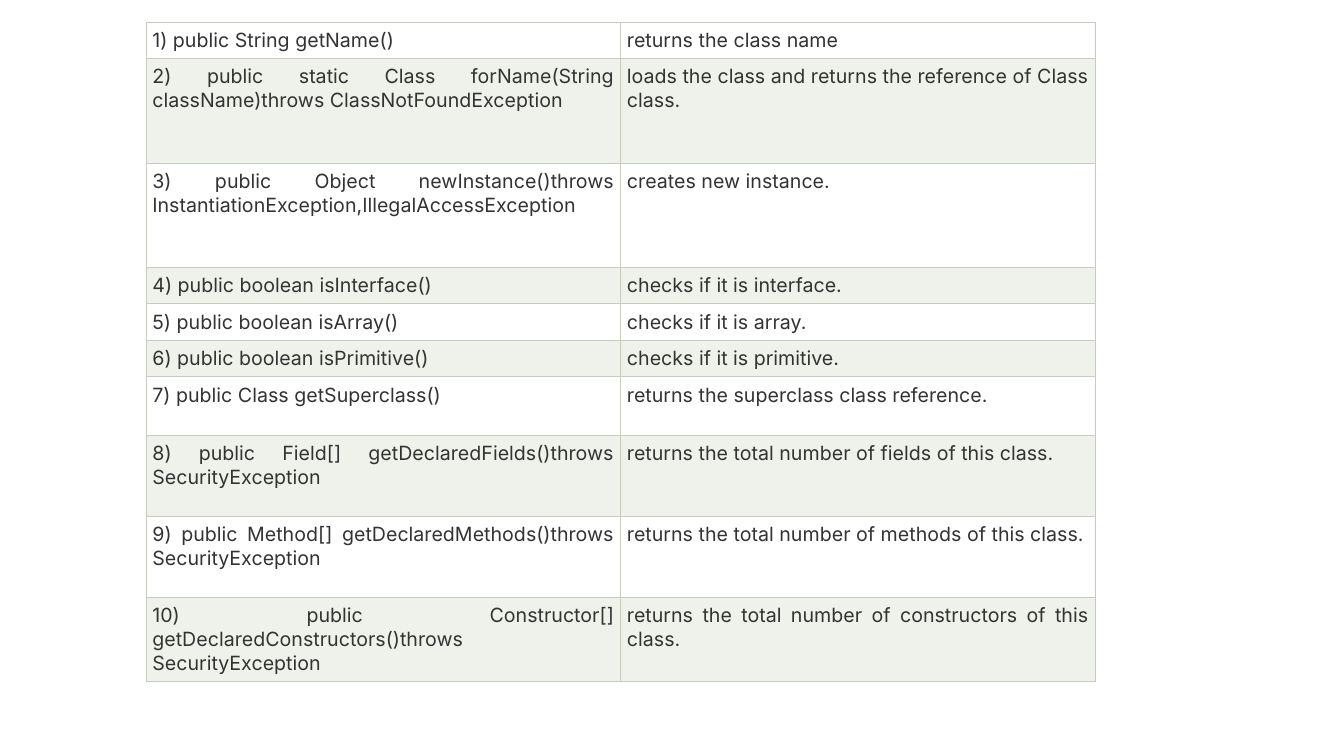
from dataclasses import dataclass

from lxml.etree import SubElement
from pptx import Presentation
from pptx.dml.color import RGBColor
from pptx.enum.text import PP_ALIGN
from pptx.oxml.ns import qn
from pptx.slide import Slide
from pptx.table import _Cell
from pptx.util import Cm, Pt


@dataclass(frozen=True)
class Theme:
    font: str = "Inter"
    text_size: int = 14
    text: str = "333333"
    border: str = "C7CCBE"
    border_width: float = 0.75
    row_fills: tuple[str, str] = ("FFFFFF", "EFF1EB")


@dataclass(frozen=True)
class Method:
    signature: str
    description: str
    height: float  # centimetres


THEME = Theme()
LEFT, TOP, COLUMN_WIDTH = 3.68, 0.56, 11.96
CELL_MARGIN = 0.16
SINGLE, SPACED, DOUBLE, TALL = 0.9, 1.47, 2.05, 2.63

METHODS = [
    Method("1) public String getName()", "returns the class name", SINGLE),
    Method("2) public static Class forName(String className)throws ClassNotFoundException",
           "loads the class and returns the reference of Class class.", TALL),
    Method("3) public Object newInstance()throws InstantiationException,IllegalAccessException",
           "creates new instance.", TALL),
    Method("4) public boolean isInterface()", "checks if it is interface.", SINGLE),
    Method("5) public boolean isArray()", "checks if it is array.", SINGLE),
    Method("6) public boolean isPrimitive()", "checks if it is primitive.", SINGLE),
    Method("7) public Class getSuperclass()", "returns the superclass class reference.", SPACED),
    Method("8) public Field[] getDeclaredFields()throws SecurityException",
           "returns the total number of fields of this class.", DOUBLE),
    Method("9) public Method[] getDeclaredMethods()throws SecurityException",
           "returns the total number of methods of this class.", DOUBLE),
    Method("10) public Constructor[] getDeclaredConstructors()throws SecurityException",
           "returns the total number of constructors of this class.", DOUBLE),
]


def add_borders(cell: _Cell) -> None:
    """Add all four borders; call before filling, as the schema puts lines first."""
    properties = cell._tc.get_or_add_tcPr()
    for side in ("a:lnL", "a:lnR", "a:lnT", "a:lnB"):
        line = SubElement(properties, qn(side), w=str(Pt(THEME.border_width)))
        fill = SubElement(line, qn("a:solidFill"))
        SubElement(fill, qn("a:srgbClr"), val=THEME.border)


def write_cell(cell: _Cell, text: str, fill: str) -> None:
    add_borders(cell)
    cell.fill.solid()
    cell.fill.fore_color.rgb = RGBColor.from_string(fill)
    cell.margin_left = cell.margin_right = Cm(CELL_MARGIN)
    cell.margin_top = cell.margin_bottom = Cm(CELL_MARGIN)
    cell.text_frame.text = text
    paragraph = cell.text_frame.paragraphs[0]
    paragraph.alignment = PP_ALIGN.JUSTIFY
    font = paragraph.runs[0].font
    font.name = THEME.font
    font.size = Pt(THEME.text_size)
    font.color.rgb = RGBColor.from_string(THEME.text)


def add_method_table(slide: Slide, methods: list[Method]) -> None:
    height = sum(method.height for method in methods)
    table = slide.shapes.add_table(len(methods), 2, Cm(LEFT), Cm(TOP),
                                   Cm(2 * COLUMN_WIDTH), Cm(height)).table
    table.first_row = False
    table.horz_banding = False
    for index, method in enumerate(methods):
        table.rows[index].height = Cm(method.height)
        fill = THEME.row_fills[index % 2]
        for column, text in enumerate((method.signature, method.description)):
            write_cell(table.cell(index, column), text, fill)


def main() -> None:
    presentation = Presentation()
    presentation.slide_width = Cm(33.87)
    presentation.slide_height = Cm(19.05)
    slide = presentation.slides.add_slide(presentation.slide_layouts[6])
    add_method_table(slide, METHODS)
    presentation.save("out.pptx")


if __name__ == "__main__":
    main()
